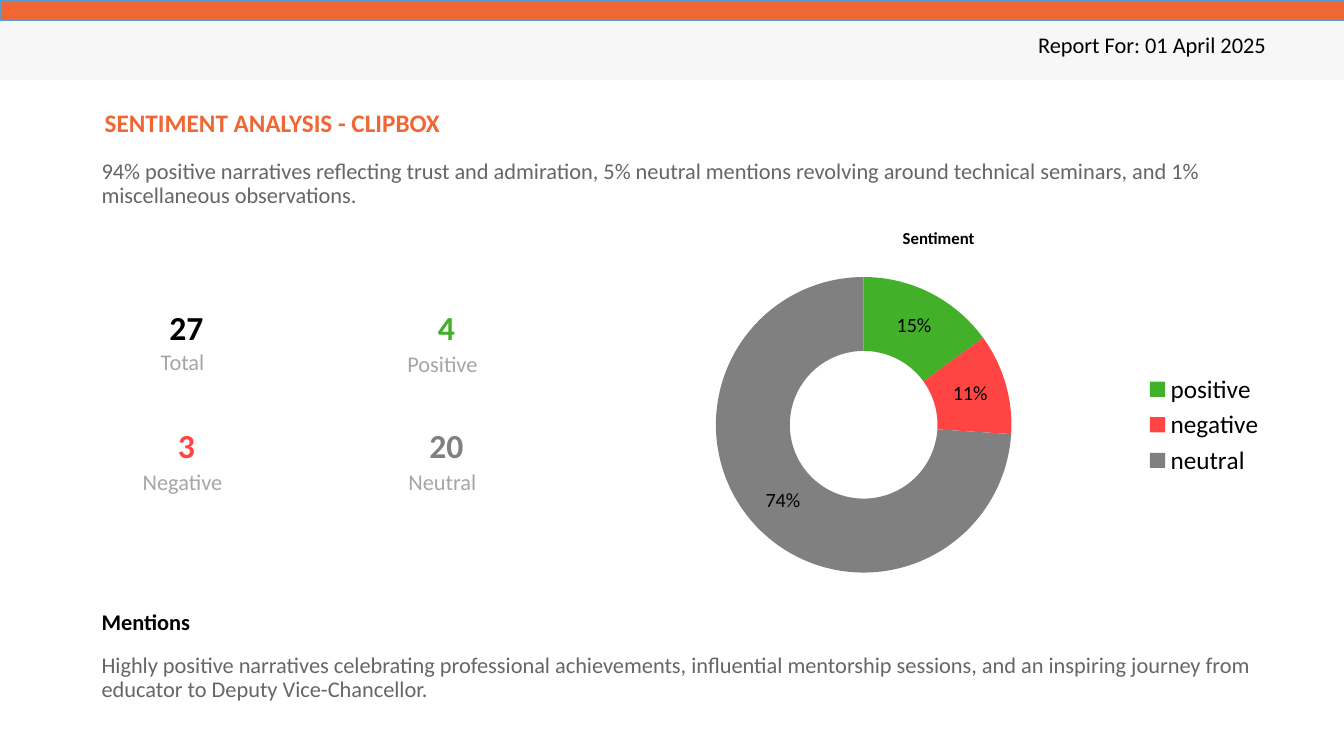
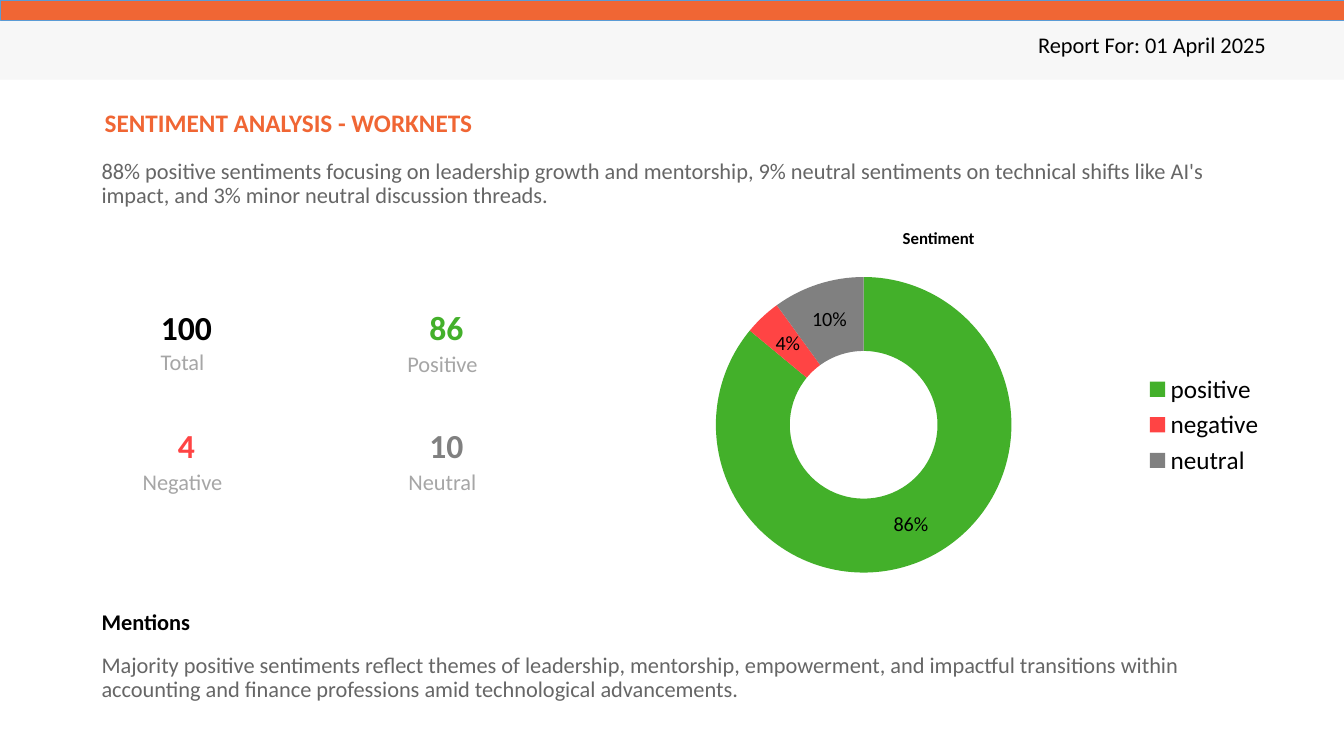
from pptx import Presentation
from pptx import util as u
from pptx.chart import data as chart_data
from pptx.dml import color
from pptx.enum import chart as ch, shapes, text

COLORS = {
    "accent": "F06634", "accent_line": "5B9BD5", "band": "F7F7F7",
    "ink": "000000", "body": "666666", "label": "A6A6A6",
    "positive": "43B02A", "negative": "FF4444", "neutral": "808080",
}
FONT = "Calibri"
WIDTH, HEIGHT = 33.87, 19.05
LEFT, BODY_WIDTH = 2.31, 29.82
CENTER, RIGHT = text.PP_ALIGN.CENTER, text.PP_ALIGN.RIGHT


def rgb(name):
    return color.RGBColor.from_string(COLORS[name])


class Report:
    """Holds the report style and the current slide."""

    def __init__(self):
        self.prs = Presentation()
        self.prs.slide_width, self.prs.slide_height = u.Cm(WIDTH), u.Cm(HEIGHT)
        self.s = None

    def style(self, font, size, col, bold=False):
        font.name, font.size, font.bold = FONT, u.Pt(size), bold
        font.color.rgb = rgb(col)

    def fill_text(self, sp, words, size, col, bold=False, align=None, spacing=0.9):
        tf = sp.text_frame
        tf.word_wrap = True
        tf.auto_size = text.MSO_AUTO_SIZE.NONE
        p = tf.paragraphs[0]
        p.alignment, p.line_spacing = align, spacing
        p.space_before = u.Pt(0)
        r = p.add_run()
        r.text = words
        self.style(r.font, size, col, bold)

    def text(self, box, words, size, col, **options):
        sp = self.s.shapes.add_textbox(*map(u.Cm, box))
        self.fill_text(sp, words, size, col, **options)

    def band(self, top, height, fill, line=None):
        sp = self.s.shapes.add_shape(
            shapes.MSO_SHAPE.RECTANGLE, 0, u.Cm(top), u.Cm(WIDTH), u.Cm(height))
        sp.shadow.inherit = False
        sp.fill.solid()
        sp.fill.fore_color.rgb = rgb(fill)
        if line:
            sp.line.color.rgb = rgb(line)
            sp.line.width = u.Pt(0.5)
        else:
            sp.line.fill.background()

    def title(self, words):
        sp = self.s.shapes.title
        sp.left, sp.top, sp.width, sp.height = map(u.Cm, (23.7, 0.41, 8.46, 1.52))
        sp.fill.solid()
        sp.fill.fore_color.rgb = rgb("band")
        sp.text_frame.vertical_anchor = text.MSO_ANCHOR.MIDDLE
        self.fill_text(sp, words, 16, "ink", align=RIGHT)
        # Bring the title in front of the grey band
        sp.element.getparent().append(sp.element)

    def stat(self, left, top, label_top, value, label, col):
        self.text((left, top, 4.78, 1.07), str(value), 24, col,
                  bold=True, align=CENTER)
        self.text((left - 0.1, label_top, 4.78, 0.94), label, 16, "label",
                  align=CENTER, spacing=1.0)

    def doughnut(self, box, values):
        data = chart_data.CategoryChartData()
        data.categories = list(values)
        data.add_series("Series 1", list(values.values()))
        chart = self.s.shapes.add_chart(
            ch.XL_CHART_TYPE.DOUGHNUT, *map(u.Cm, box), data).chart
        chart.has_title = False
        self.style(chart.font, 18, "ink")
        chart.has_legend = True
        chart.legend.position = ch.XL_LEGEND_POSITION.RIGHT
        chart.legend.include_in_layout = False
        plot = chart.plots[0]
        plot.vary_by_categories = True
        for i, name in enumerate(values):
            fill = plot.series[0].points[i].format.fill
            fill.solid()
            fill.fore_color.rgb = rgb(name)
        plot.has_data_labels = True
        labels = plot.data_labels
        labels.show_percentage, labels.show_value = True, False
        labels.number_format, labels.number_format_is_linked = "0%", False
        self.style(labels.font, 14.4, "ink")

    def page(self, channel, summary, mentions, total, values, shares):
        self.s = self.prs.slides.add_slide(self.prs.slide_layouts[5])
        # Header
        self.band(0.51, 1.5, "band")
        self.title("Report For: 01 April 2025")
        self.band(0, 0.51, "accent", "accent_line")
        # Heading and summary
        self.text((2.39, 2.67, 29.74, 0.74), f"SENTIMENT ANALYSIS - {channel}",
                  18, "accent", bold=True)
        self.text((LEFT, 3.91, BODY_WIDTH, 1.45), summary, 16, "body")
        # Counts
        positive, negative, neutral = values
        second = 8.86
        self.stat(LEFT, 7.72, 8.64, total, "Total", "ink")
        self.stat(second, 7.72, 8.69, positive, "Positive", "positive")
        self.stat(LEFT, 10.69, 11.68, negative, "Negative", "negative")
        self.stat(second, 10.69, 11.68, neutral, "Neutral", "neutral")
        # Chart
        self.text((22.5, 5.61, 2.6, 0.76), "Sentiment", 12, "ink",
                  bold=True, spacing=1.0)
        self.doughnut((14.76, 6.63, 17.37, 8.15),
                      dict(zip(("positive", "negative", "neutral"), shares)))
        # Mentions
        self.text((LEFT, 15.21, 2.92, 0.94), "Mentions", 16, "ink",
                  bold=True, spacing=1.0)
        self.text((LEFT, 16.36, BODY_WIDTH, 2.34), mentions, 16, "body")


def main():
    report = Report()
    report.page(
        "CLIPBOX",
        "94% positive narratives reflecting trust and admiration, 5% neutral "
        "mentions revolving around technical seminars, and 1% miscellaneous "
        "observations.",
        "Highly positive narratives celebrating professional achievements, "
        "influential mentorship sessions, and an inspiring journey from "
        "educator to Deputy Vice-Chancellor.",
        27, (4, 3, 20), (15, 11, 74))
    report.page(
        "WORKNETS",
        "88% positive sentiments focusing on leadership growth and mentorship, "
        "9% neutral sentiments on technical shifts like AI's impact, and 3% "
        "minor neutral discussion threads.",
        "Majority positive sentiments reflect themes of leadership, mentorship, "
        "empowerment, and impactful transitions within accounting and finance "
        "professions amid technological advancements.",
        100, (86, 4, 10), (86, 4, 10))
    report.prs.save("out.pptx")


if __name__ == "__main__":
    main()
